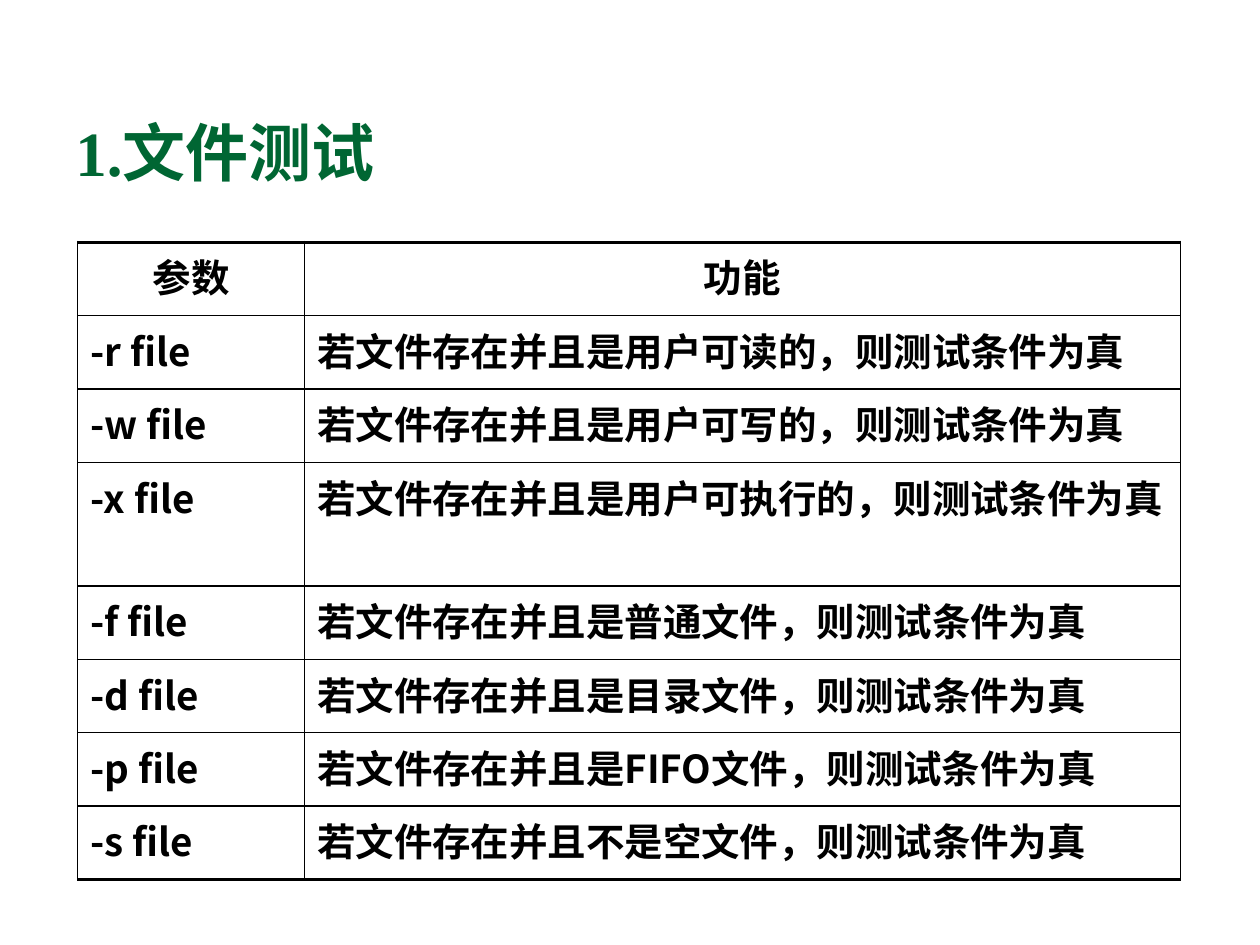
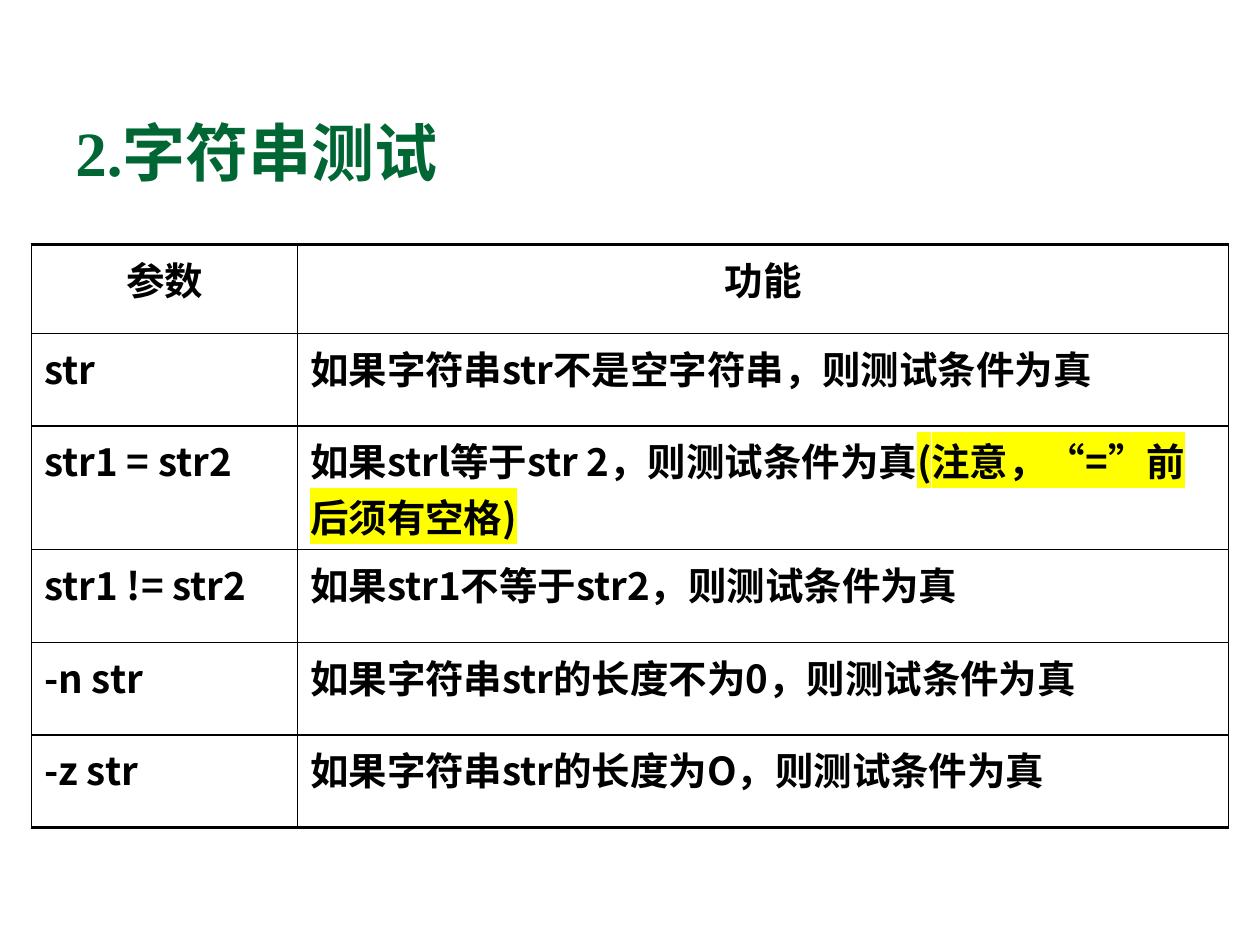
from lxml.etree import SubElement
from pptx import Presentation
from pptx.dml.color import RGBColor
from pptx.enum.text import MSO_ANCHOR, PP_ALIGN
from pptx.oxml.ns import qn
from pptx.util import Cm, Pt

GREEN, BLACK, YELLOW = "006633", "000000", "FFFF00"
CJK_FONT = "Noto Sans CJK SC"
TITLE_FORMAT = {"size": Pt(36), "bold": True, "name": "Times New Roman"}
CELL_FORMAT = {"size": Pt(22), "bold": True, "name": CJK_FONT}
TITLE_BOTTOM = 3.94
HEADER = ("参数", "功能")
TRUE_END = "，则测试条件为真"
EQUALS_NOTE = "(注意，“=”前后须有空格)"

pages = [
    {
        "title": "1.文件测试", "title_top": 1.55,
        "left": 1.57, "top": 4.88,
        "widths": (4.57, 17.65),
        "heights": (1.48, 1.48, 1.48, 2.49, 1.48, 1.48, 1.48, 1.48),
        "tests": [
            ("-r file", "若文件存在并且是用户可读的"),
            ("-w file", "若文件存在并且是用户可写的"),
            ("-x file", "若文件存在并且是用户可执行的"),
            ("-f file", "若文件存在并且是普通文件"),
            ("-d file", "若文件存在并且是目录文件"),
            ("-p file", "若文件存在并且是FIFO文件"),
            ("-s file", "若文件存在并且不是空文件"),
        ],
    },
    {
        "title": "2.字符串测试", "title_top": 1.96,
        "left": 0.64, "top": 4.93,
        "widths": (5.36, 18.77),
        "heights": (1.79, 1.87, 2.49, 1.87, 1.87, 1.87),
        "tests": [
            ("str", "如果字符串str不是空字符串"),
            ("str1 = str2", "如果strl等于str 2"),
            ("str1 != str2", "如果str1不等于str2"),
            ("-n str", "如果字符串str的长度不为0"),
            ("-z str", "如果字符串str的长度为O"),
        ],
    },
]


def add_run(paragraph, text, color, format_values, highlight=None):
    run = paragraph.add_run()
    run.text = text
    for attribute, value in format_values.items():
        setattr(run.font, attribute, value)
    run.font.color.rgb = RGBColor.from_string(color)
    properties = run.font._element
    properties.set("lang", "zh-CN")
    SubElement(properties, qn("a:ea"), typeface=CJK_FONT)
    if highlight:
        marker = SubElement(properties, qn("a:highlight"))
        SubElement(marker, qn("a:srgbClr"), val=highlight)
        properties.find(qn("a:solidFill")).addnext(marker)


def set_borders(cell, widths):
    """Draw black cell edges; widths maps L, R, T and B, in that order, to points."""
    properties = cell._tc.get_or_add_tcPr()
    for side, width in widths.items():
        edge = SubElement(properties, qn(f"a:ln{side}"), w=str(Pt(width)))
        fill = SubElement(edge, qn("a:solidFill"))
        SubElement(fill, qn("a:srgbClr"), val=BLACK)


prs = Presentation()
prs.slide_width, prs.slide_height = Cm(25.4), Cm(19.05)

for page in pages:
    slide = prs.slides.add_slide(prs.slide_layouts[6])
    title = slide.shapes.add_textbox(
        Cm(1.27), Cm(page["title_top"]), Cm(22.86), Cm(TITLE_BOTTOM - page["title_top"])
    ).text_frame
    title.word_wrap = True
    title.vertical_anchor = MSO_ANCHOR.BOTTOM
    add_run(title.paragraphs[0], page["title"], GREEN, TITLE_FORMAT)

    rows = [HEADER] + [(option, meaning + TRUE_END) for option, meaning in page["tests"]]
    last_row = len(rows) - 1
    table = slide.shapes.add_table(
        len(rows), len(HEADER), Cm(page["left"]), Cm(page["top"]),
        Cm(sum(page["widths"])), Cm(sum(page["heights"])),
    ).table
    table.first_row = table.horz_banding = False
    for column, width in zip(table.columns, page["widths"]):
        column.width = Cm(width)
    for row, height in zip(table.rows, page["heights"]):
        row.height = Cm(height)

    for row_index, texts in enumerate(rows):
        for column_index, text in enumerate(texts):
            cell = table.cell(row_index, column_index)
            set_borders(cell, {
                "L": 0.75 if column_index == 0 else 1,
                "R": 1 if column_index == 0 else 0.75,
                "T": 2 if row_index == 0 else 1,
                "B": 2 if row_index == last_row else 1,
            })
            cell.fill.background()
            paragraph = cell.text_frame.paragraphs[0]
            paragraph.alignment = PP_ALIGN.CENTER if row_index == 0 else PP_ALIGN.LEFT
            add_run(paragraph, text, BLACK, CELL_FORMAT)
            if column_index == 1 and texts[0] == "str1 = str2":
                add_run(paragraph, EQUALS_NOTE, BLACK, CELL_FORMAT, YELLOW)

prs.save("out.pptx")
